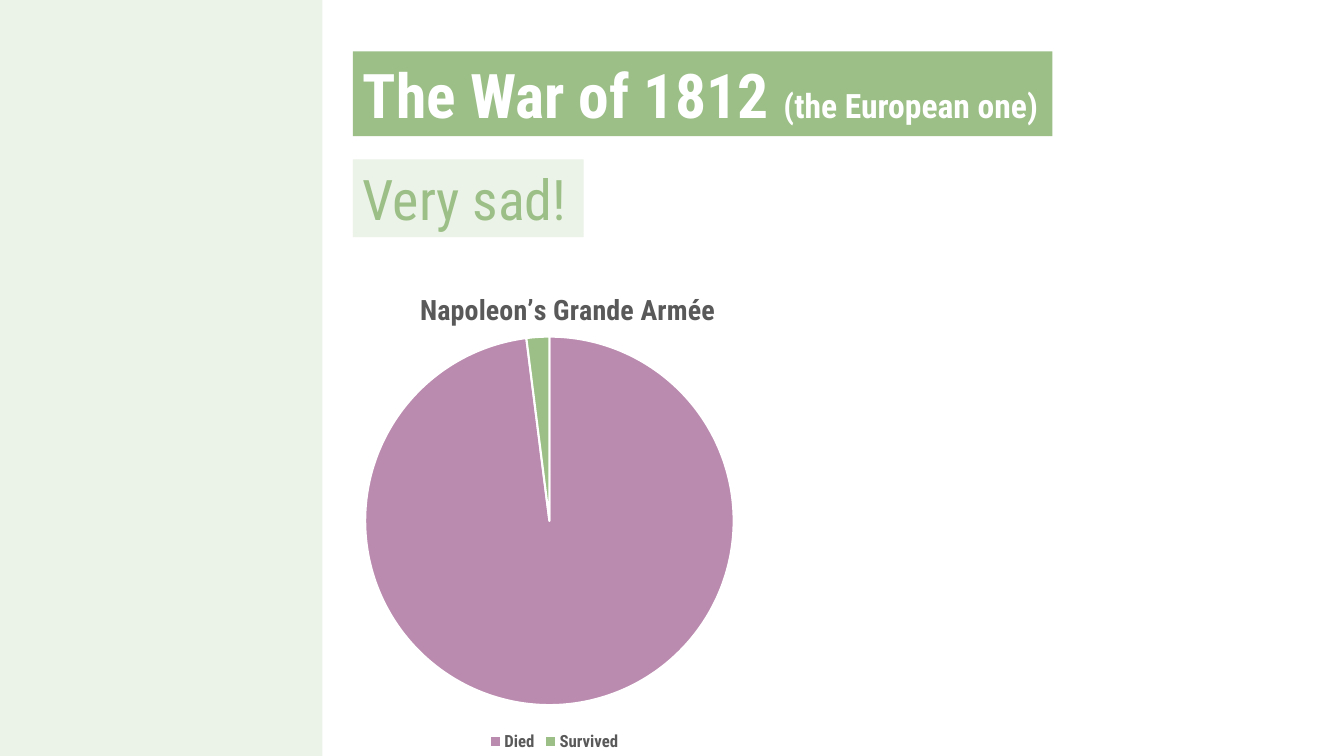
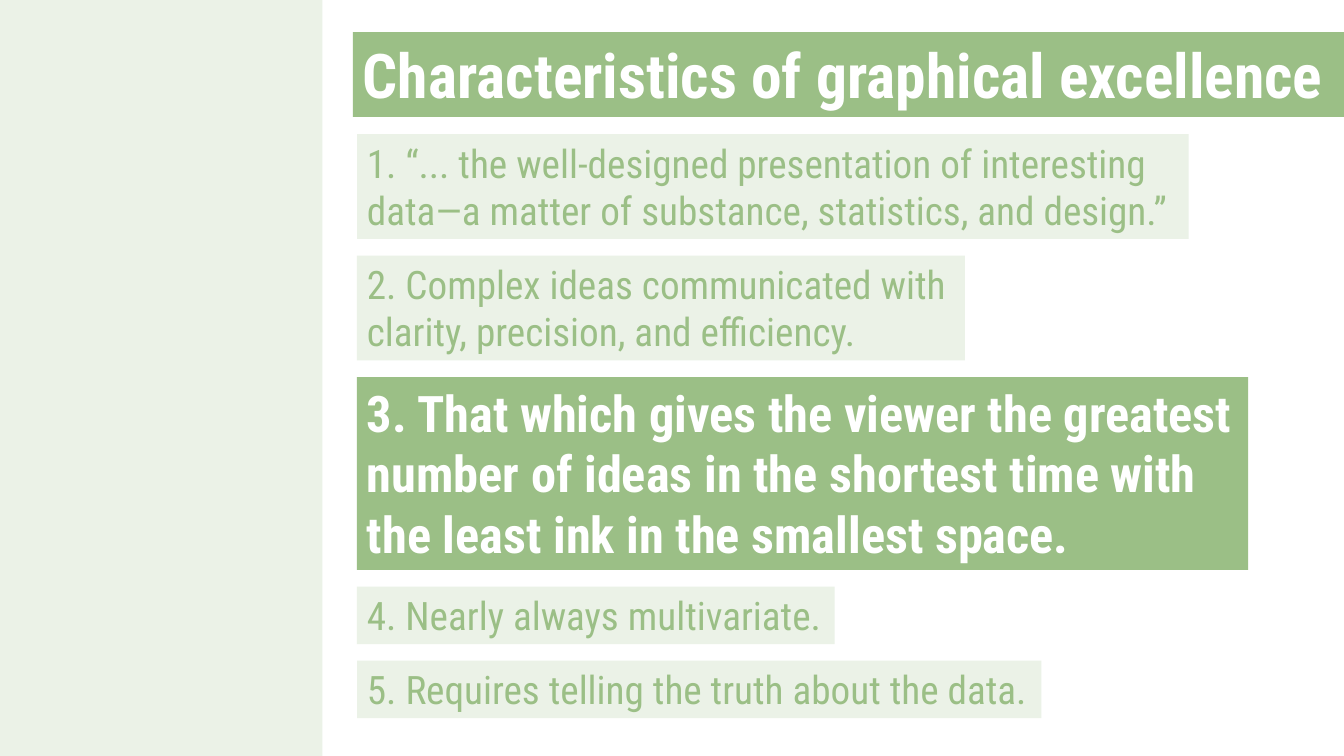
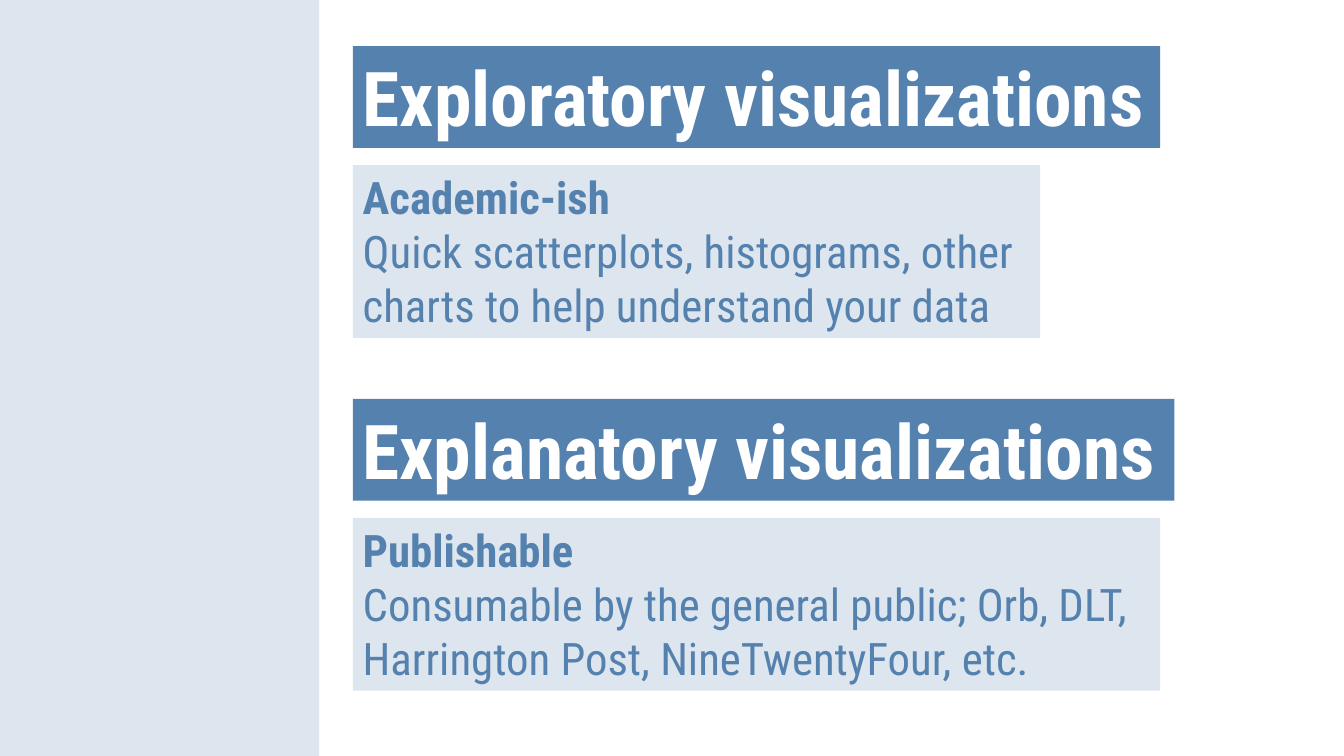
from dataclasses import dataclass

from lxml import etree
from pptx import Presentation
from pptx.chart.data import CategoryChartData
from pptx.dml.color import RGBColor
from pptx.enum.chart import XL_CHART_TYPE as ChartType, XL_LEGEND_POSITION as LegendPosition
from pptx.enum.shapes import MSO_SHAPE as Preset
from pptx.enum.text import MSO_ANCHOR as Anchor, MSO_AUTO_SIZE as AutoSize, PP_ALIGN as Align
from pptx.oxml.ns import qn
from pptx.util import Pt


@dataclass(frozen=True)
class Palette:
    dark: str
    pale: str


@dataclass(frozen=True)
class Theme:
    font: str = "Roboto Condensed"
    white: str = "FFFFFF"
    chart_text: str = "595959"
    mauve: str = "BB8BAF"
    green: Palette = Palette("9BBF86", "EBF2E7")
    blue: Palette = Palette("5581AF", "DDE6EF")
    display: float = 54
    title: float = 44
    remark: float = 40
    emphasis: float = 36
    body: float = 32
    item: float = 28
    aside: float = 24
    chart_title: float = 20
    legend: float = 12
    line_height: float = 1.21
    inset_x: float = 7.2
    inset_y: float = 3.6
    left: float = 252


class Deck:
    def __init__(self, theme):
        self.theme = theme
        self.presentation = Presentation()
        self.presentation.slide_width = Pt(960)
        self.presentation.slide_height = Pt(540)

    def add_slide(self, palette, sidebar_width):
        self.palette = palette
        self.slide = self.presentation.slides.add_slide(self.presentation.slide_layouts[5])
        self.add_rectangle(0, 0, sidebar_width, 540, palette.pale)

    def paint(self, shape, color):
        shape.fill.solid()
        shape.fill.fore_color.rgb = RGBColor.from_string(color)
        shape.line.fill.background()

    def add_rectangle(self, left, top, width, height, color):
        rectangle = self.slide.shapes.add_shape(
            Preset.RECTANGLE, Pt(left), Pt(top), Pt(width), Pt(height))
        rectangle.shadow.inherit = False
        self.paint(rectangle, color)
        return rectangle

    def box_height(self, lines, size):
        return round(lines * size * self.theme.line_height + 2 * self.theme.inset_y, 2)

    def style_font(self, font, size, color, bold):
        font.name = self.theme.font
        font.size = Pt(size)
        font.bold = bold
        font.color.rgb = RGBColor.from_string(color)

    def add_text(self, shape, paragraphs, color):
        """Fill a shape with paragraphs, each a list of (text, size, bold) runs."""
        frame = shape.text_frame
        frame.word_wrap = True
        frame.auto_size = AutoSize.SHAPE_TO_FIT_TEXT
        frame.vertical_anchor = Anchor.TOP
        frame.margin_left = frame.margin_right = Pt(self.theme.inset_x)
        frame.margin_top = frame.margin_bottom = Pt(self.theme.inset_y)
        for index, runs in enumerate(paragraphs):
            paragraph = frame.add_paragraph() if index else frame.paragraphs[0]
            paragraph.alignment = Align.LEFT
            for text, size, bold in runs:
                run = paragraph.add_run()
                run.text = text
                self.style_font(run.font, size, color, bold)

    def add_title(self, top, width, size, text, aside=""):
        title = self.slide.shapes.title
        title.left, title.top = Pt(self.theme.left), Pt(top)
        title.width, title.height = Pt(width), Pt(self.box_height(1, size))
        self.paint(title, self.palette.dark)
        runs = [(text, size, True)]
        if aside:
            runs.append((aside, self.theme.aside, True))
        self.add_text(title, [runs], self.theme.white)

    def add_heading(self, left, top, width, size, text, lines=1):
        height = self.box_height(lines, size)
        heading = self.add_rectangle(left, top, width, height, self.palette.dark)
        self.add_text(heading, [[(text, size, True)]], self.theme.white)
        return height

    def add_note(self, left, top, width, size, text, lines=1, lead=""):
        height = self.box_height(lines, size)
        note = self.add_rectangle(left, top, width, height, self.palette.pale)
        paragraphs = [[(lead, size, True)]] if lead else []
        self.add_text(note, paragraphs + [[(text, size, False)]], self.palette.dark)
        return height

    def set_layout(self, part, **fractions):
        """Place a chart title or plot area by fractions of the chart frame."""
        for old in part.findall(qn("c:layout")):
            part.remove(old)
        layout = etree.Element(qn("c:layout"))
        manual = etree.SubElement(layout, qn("c:manualLayout"))
        if "w" in fractions:
            etree.SubElement(manual, qn("c:layoutTarget")).set("val", "inner")
        for mode in ("xMode", "yMode"):
            etree.SubElement(manual, qn(f"c:{mode}")).set("val", "edge")
        for key, value in fractions.items():
            etree.SubElement(manual, qn(f"c:{key}")).set("val", str(value))
        text = part.find(qn("c:tx"))
        if text is None:
            part.insert(0, layout)
        else:
            text.addnext(layout)

    def add_pie(self, left, top, width, height, title, slices):
        """Draw a pie from (category, value, color) slices."""
        theme = self.theme
        data = CategoryChartData()
        data.categories = [category for category, _, _ in slices]
        data.add_series("Series 1", [value for _, value, _ in slices])
        chart = self.slide.shapes.add_chart(
            ChartType.PIE, Pt(left), Pt(top), Pt(width), Pt(height), data).chart
        self.style_font(chart.font, theme.legend, theme.chart_text, True)

        chart.has_title = True
        heading = chart.chart_title.text_frame.paragraphs[0].add_run()
        heading.text = title
        self.style_font(heading.font, theme.chart_title, theme.chart_text, True)

        chart.has_legend = True
        chart.legend.position = LegendPosition.BOTTOM
        chart.legend.include_in_layout = False
        self.style_font(chart.legend.font, theme.legend, theme.chart_text, True)

        plot = chart.plots[0]
        plot.vary_by_categories = True
        for index, (_, _, color) in enumerate(slices):
            piece = plot.series[0].points[index].format
            piece.fill.solid()
            piece.fill.fore_color.rgb = RGBColor.from_string(color)
            piece.line.color.rgb = RGBColor.from_string(theme.white)
            piece.line.width = Pt(1.5)

        root = chart.element.find(qn("c:chart"))
        self.set_layout(root.find(qn("c:title")), x=0.36, y=0.05)
        self.set_layout(root.find(qn("c:plotArea")), x=0.31, y=0.15, w=0.37, h=0.75)


def build_war_slide(deck):
    theme = deck.theme
    deck.add_slide(theme.green, 230.4)
    deck.add_title(36.7, 499.7, theme.title, "The War of 1812 ", "(the European one)")
    deck.add_note(theme.left, 113.8, 164.9, theme.remark, "Very sad!")
    deck.add_pie(40.3, 186.5, 711.4, 353.5, "Napoleon’s Grande Armée", [
        ("Died", 98, theme.mauve),
        ("Survived", 2, theme.green.dark),
    ])


def build_excellence_slide(deck):
    theme = deck.theme
    deck.add_slide(theme.green, 230.4)
    deck.add_title(23, 708, theme.title, "Characteristics of graphical excellence")
    left, top, gap = 255, 95.8, 11.8
    plain, strong = (deck.add_note, theme.item), (deck.add_heading, theme.emphasis)
    characteristics = [
        (plain, 594, 2, "1. “... the well-designed presentation of interesting "
                        "data—a matter of substance, statistics, and design.”"),
        (plain, 434.2, 2, "2. Complex ideas communicated with clarity, precision, "
                          "and efficiency."),
        (strong, 636.5, 3, "3. That which gives the viewer the greatest number of ideas "
                           "in the shortest time with the least ink in the smallest space."),
        (plain, 341.3, 1, "4. Nearly always multivariate."),
        (plain, 488.9, 1, "5. Requires telling the truth about the data."),
    ]
    for (add_box, size), width, lines, text in characteristics:
        top += add_box(left, top, width, size, text, lines) + gap


def build_visualizations_slide(deck):
    theme = deck.theme
    deck.add_slide(theme.blue, 228)
    top, note_offset, group_step = 33, 85, 252
    deck.add_title(top, 576.7, theme.display, "Exploratory visualizations")
    deck.add_heading(theme.left, top + group_step, 586.8, theme.display,
                     "Explanatory visualizations")
    notes = [
        (491, "Academic-ish",
         "Quick scatterplots, histograms, other charts to help understand your data"),
        (576.7, "Publishable",
         "Consumable by the general public; Orb, DLT, Harrington Post, NineTwentyFour, etc."),
    ]
    for index, (width, lead, text) in enumerate(notes):
        deck.add_note(theme.left, top + note_offset + index * group_step, width,
                      theme.body, text, lines=3, lead=lead)


def main():
    deck = Deck(Theme())
    build_war_slide(deck)
    build_excellence_slide(deck)
    build_visualizations_slide(deck)
    deck.presentation.save("out.pptx")


if __name__ == "__main__":
    main()
